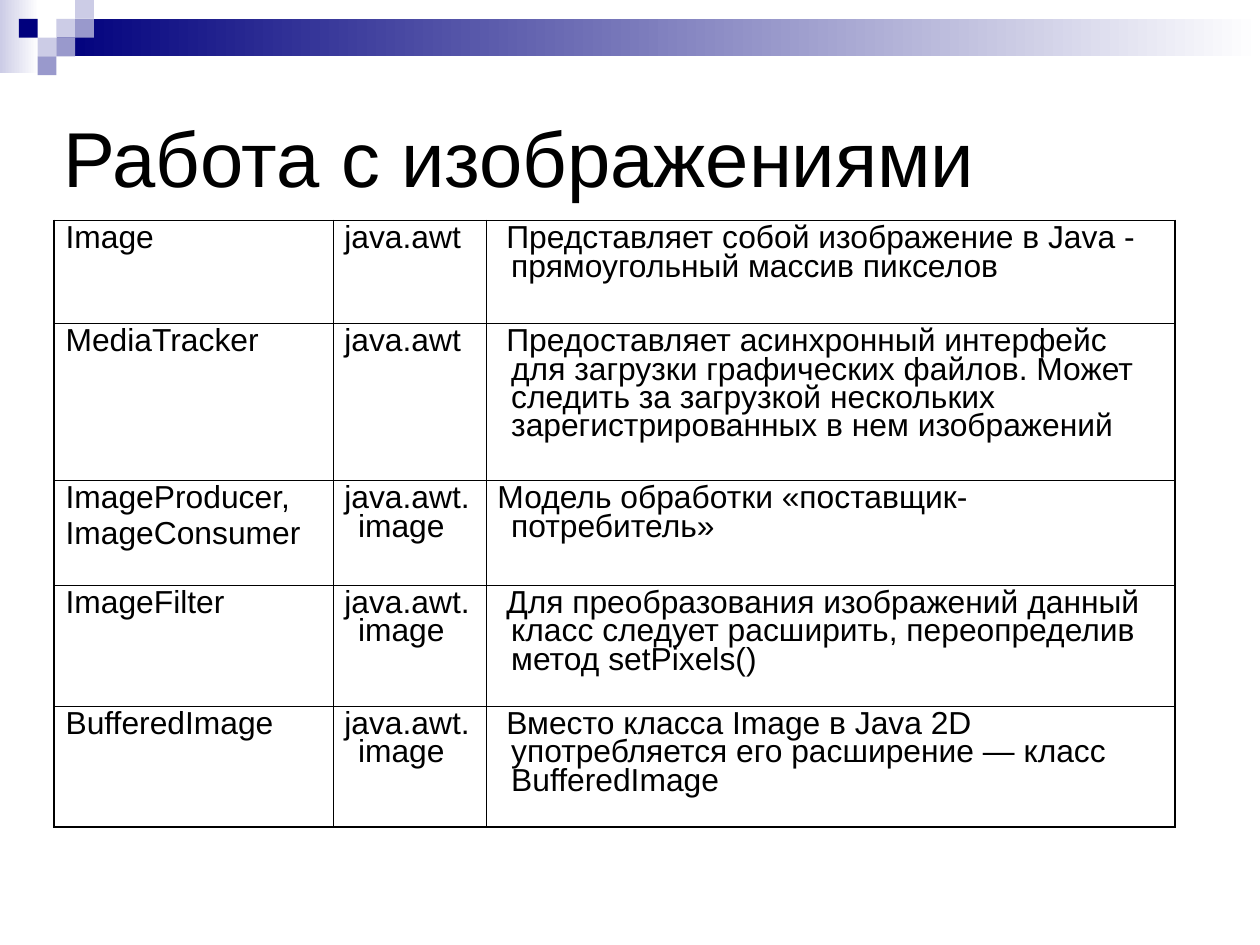
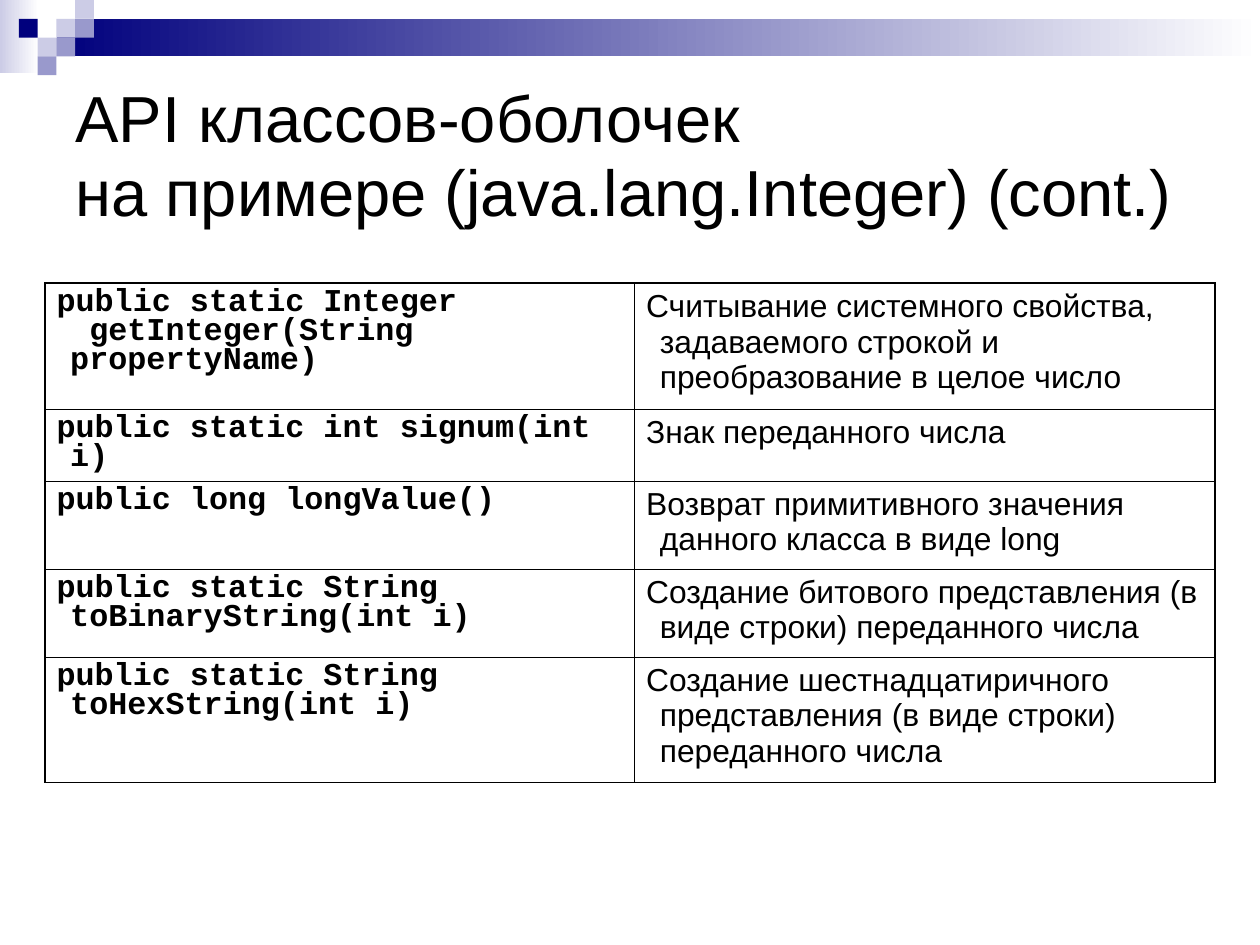
"""Build two slides on Java image classes and wrapper-class methods."""
from lxml.etree import SubElement
from pptx import Presentation
from pptx.dml.color import RGBColor
from pptx.enum.shapes import MSO_SHAPE
from pptx.enum.text import MSO_ANCHOR, MSO_AUTO_SIZE, PP_ALIGN
from pptx.oxml.ns import qn
from pptx.util import Pt

NAVY, LILAC, VIOLET, WHITE, BLACK = "00007D", "CCCCE6", "9999CC", "FFFFFF", "000000"
GRID = 11.85
OUTER_LINE, INNER_LINE = 1.08, 0.45
HANGING = Pt(8.64)


def color(hex_string):
    return RGBColor.from_string(hex_string)


def set_borders(cell, widths):
    properties = cell._tc.get_or_add_tcPr()
    for position, (side, width) in enumerate(widths.items()):
        line = SubElement(properties, qn(f"a:ln{side}"), w=str(Pt(width)))
        fill = SubElement(line, qn("a:solidFill"))
        SubElement(fill, qn("a:srgbClr"), val=BLACK)
        properties.insert(position, line)


presentation = Presentation()
presentation.slide_width = Pt(793.7)
presentation.slide_height = Pt(595.28)
layout = presentation.slide_layouts[5]
for placeholder in list(layout.placeholders)[1:]:
    placeholder.element.getparent().remove(placeholder.element)

fades = [
    (0, 0, 24.5, 46, LILAC),
    (35.7, GRID, 758, 23.5, NAVY),
]
squares = [
    (3, 1, LILAC), (4, 0, LILAC), (4, 1, VIOLET), (2, 2, LILAC),
    (1, 1, NAVY), (3, 2, VIOLET), (2, 3, VIOLET),
]
blocks = [(*fade, True) for fade in fades]
blocks += [(column * GRID, row * GRID, GRID, GRID, tone, False) for column, row, tone in squares]

slide_contents = [
    {
        "title": "Работа с изображениями",
        "title_box": (39.7, 39.4, 714.24, 118.8),
        "title_size": 49,
        "title_spacing": 1.0,
        "title_margins": (0, 0),
        "table_origin": (34.1, 138.9),
        "column_widths": [175.6, 96.5, 434],
        "row_heights": [64.8, 98.9, 66.1, 76.2, 76.2],
        "column_styles": [("Arial", False, 0.8)] * 3,
        "rows": [
            ("Image", "java.awt",
             " Представляет собой изображение в Java - прямоугольный массив пикселов"),
            ("MediaTracker", "java.awt",
             " Предоставляет асинхронный интерфейс для загрузки графических файлов. "
             "Может следить за загрузкой нескольких зарегистрированных в нем изображений"),
            ("ImageProducer,\nImageConsumer", "java.awt. image",
             "Модель обработки «поставщик-потребитель»"),
            ("ImageFilter", "java.awt. image",
             " Для преобразования изображений данный класс следует расширить, "
             "переопределив метод setPixels()"),
            ("BufferedImage", "java.awt. image",
             " Вместо класса Image в Java 2D употребляется его расширение — класс BufferedImage"),
        ],
    },
    {
        "title": "API классов-оболочек\vна примере (java.lang.Integer) (cont.)",
        "title_box": (39.7, 68.8, 714.24, 60.48),
        "title_size": 41,
        "title_spacing": 0.95,
        "title_margins": (7.92, 4.32),
        "table_origin": (28.4, 178.4),
        "column_widths": [371.4, 365.6],
        "row_heights": [79.2, 45.36, 55.44, 55.44, 79.2],
        "column_styles": [("Courier New", True, 0.8), ("Arial", False, 1.0)],
        "rows": [
            ("public static Integer\v getInteger(String propertyName)",
             "Считывание системного свойства, задаваемого строкой и преобразование в целое число"),
            ("public static int signum(int i)", "Знак переданного числа"),
            ("public long longValue()",
             "Возврат примитивного значения данного класса в виде long"),
            ("public static String toBinaryString(int i)",
             "Создание битового представления (в виде строки) переданного числа"),
            ("public static String toHexString(int i)",
             "Создание шестнадцатиричного представления (в виде строки) переданного числа"),
        ],
    },
]

for slide_number, content in enumerate(slide_contents):
    slide = presentation.slides.add_slide(layout)

    if slide_number == 0:
        for left, top, width, height, tone, fades_out in blocks:
            shape = slide.shapes.add_shape(
                MSO_SHAPE.RECTANGLE, Pt(left), Pt(top), Pt(width), Pt(height))
            shape.shadow.inherit = False
            shape.line.fill.background()
            if fades_out:
                shape.fill.gradient()
                shape.fill.gradient_angle = 0
                for stop, stop_color in zip(shape.fill.gradient_stops, (tone, WHITE)):
                    stop.color.rgb = color(stop_color)
            else:
                shape.fill.solid()
                shape.fill.fore_color.rgb = color(tone)
            layout.shapes.element.append(shape.element)

    title = slide.shapes.title
    title.left, title.top, title.width, title.height = map(Pt, content["title_box"])
    text_frame = title.text_frame
    text_frame.text = content["title"]
    text_frame.word_wrap = True
    text_frame.auto_size = MSO_AUTO_SIZE.NONE
    text_frame.vertical_anchor = MSO_ANCHOR.MIDDLE
    side_margin, end_margin = map(Pt, content["title_margins"])
    text_frame.margin_left = text_frame.margin_right = side_margin
    text_frame.margin_top = text_frame.margin_bottom = end_margin
    paragraph = text_frame.paragraphs[0]
    paragraph.alignment = PP_ALIGN.LEFT
    paragraph.line_spacing = content["title_spacing"]
    for run in paragraph.runs:
        run.font.name = "Arial"
        run.font.size = Pt(content["title_size"])
        run.font.color.rgb = color(BLACK)

    rows, widths, heights = content["rows"], content["column_widths"], content["row_heights"]
    left, top = content["table_origin"]
    table = slide.shapes.add_table(
        len(rows), len(widths), Pt(left), Pt(top), Pt(sum(widths)), Pt(sum(heights))).table
    table.first_row = False
    table.horz_banding = False
    for column, width in zip(table.columns, widths):
        column.width = Pt(width)
    for row, height in zip(table.rows, heights):
        row.height = Pt(height)

    for row_index, row_texts in enumerate(rows):
        for column_index, cell_text in enumerate(row_texts):
            cell = table.cell(row_index, column_index)
            cell.fill.solid()
            cell.fill.fore_color.rgb = color(WHITE)
            on_edge = {
                "L": column_index == 0,
                "R": column_index == len(widths) - 1,
                "T": row_index == 0,
                "B": row_index == len(rows) - 1,
            }
            set_borders(cell, {side: OUTER_LINE if edge else INNER_LINE
                               for side, edge in on_edge.items()})
            font_name, bold, spacing = content["column_styles"][column_index]
            cell.text_frame.text = cell_text
            for paragraph_index, paragraph in enumerate(cell.text_frame.paragraphs):
                properties = paragraph._p.get_or_add_pPr()
                properties.set("marL", str(HANGING))
                properties.set("indent", str(-HANGING))
                paragraph.line_spacing = spacing
                if paragraph_index:
                    paragraph.space_before = Pt(5)
                for run in paragraph.runs:
                    run.font.name = font_name
                    run.font.size = Pt(20)
                    run.font.bold = bold
                    run.font.color.rgb = color(BLACK)

presentation.save("out.pptx")
